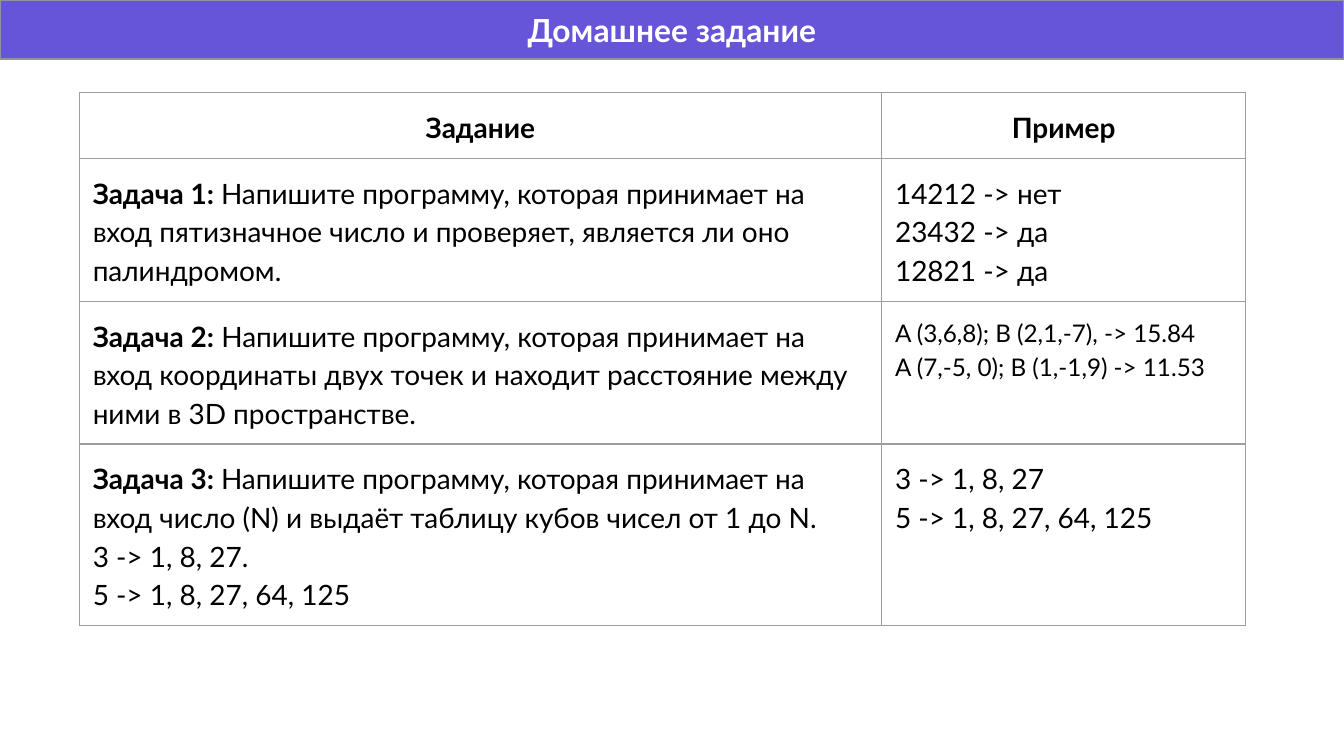
from dataclasses import dataclass

from lxml import etree
from pptx import Presentation
from pptx.dml.color import RGBColor
from pptx.enum.shapes import MSO_SHAPE
from pptx.enum.text import MSO_ANCHOR, PP_ALIGN
from pptx.oxml.ns import qn
from pptx.util import Inches, Pt

RECTANGLE = MSO_SHAPE.RECTANGLE
MIDDLE = MSO_ANCHOR.MIDDLE
TOP = MSO_ANCHOR.TOP
LEFT = PP_ALIGN.LEFT
CENTER = PP_ALIGN.CENTER


@dataclass(frozen=True)
class Theme:
    font: str = "Lato"
    banner: str = "6654D9"
    banner_line: str = "8F93A3"
    banner_text: str = "FFFFFF"
    text: str = "000000"
    grid: str = "9E9E9E"
    title_size: float = 17
    body_size: float = 15
    small_size: float = 13
    line_width: float = 0.75
    line_spacing: float = 1.15
    inset: float = 0.1


class SlideBuilder:
    def __init__(self, slide, theme):
        self.slide = slide
        self.theme = theme

    def add_span(self, para, text, size, color, bold=False):
        """Add a run; a newline in the text becomes a line break."""
        for index, piece in enumerate(text.split("\n")):
            if index:
                para.add_line_break()
            span = para.add_run()
            span.text = piece
            span.font.name = self.theme.font
            span.font.size = Pt(size)
            span.font.bold = bold
            span.font.color.rgb = RGBColor.from_string(color)

    def add_banner(self, text, width, height):
        theme = self.theme
        banner = self.slide.shapes.add_shape(
            RECTANGLE, 0, 0, Inches(width), Inches(height))
        banner.shadow.inherit = False
        banner.fill.solid()
        banner.fill.fore_color.rgb = RGBColor.from_string(theme.banner)
        banner.line.color.rgb = RGBColor.from_string(theme.banner_line)
        banner.line.width = Pt(theme.line_width)
        frame = banner.text_frame
        frame.word_wrap = True
        frame.vertical_anchor = MIDDLE
        frame.margin_left = frame.margin_right = Inches(theme.inset)
        frame.margin_top = frame.margin_bottom = Inches(theme.inset)
        para = frame.paragraphs[0]
        para.alignment = CENTER
        self.add_span(para, text, theme.title_size, theme.banner_text, True)

    def add_table(self, left, top, widths, heights):
        frame = self.slide.shapes.add_table(
            len(heights), len(widths), Inches(left), Inches(top),
            Inches(sum(widths)), Inches(sum(heights)))
        table = frame.table
        table.first_row = table.horz_banding = False
        for column, width in zip(table.columns, widths):
            column.width = Inches(width)
        for row, height in zip(table.rows, heights):
            row.height = Inches(height)
        return table

    def border_cell(self, cell):
        """Outline all four sides; borders must come before the cell's fill."""
        properties = cell._tc.get_or_add_tcPr()
        for side in ("a:lnL", "a:lnR", "a:lnT", "a:lnB"):
            line = etree.SubElement(
                properties, qn(side), w=str(Pt(self.theme.line_width)))
            fill = etree.SubElement(line, qn("a:solidFill"))
            etree.SubElement(fill, qn("a:srgbClr"), val=self.theme.grid)

    def fill_cell(self, cell, lines, size, alignment):
        """Write paragraphs, each a list of (text, bold) pairs."""
        theme = self.theme
        self.border_cell(cell)
        cell.fill.background()
        cell.vertical_anchor = TOP
        cell.margin_left = cell.margin_right = Inches(theme.inset)
        cell.margin_top = cell.margin_bottom = Inches(theme.inset)
        frame = cell.text_frame
        for index, line in enumerate(lines):
            para = frame.add_paragraph() if index else frame.paragraphs[0]
            para.alignment = alignment
            para.line_spacing = theme.line_spacing
            for text, bold in line:
                self.add_span(para, text, size, theme.text, bold)


HEADINGS = ("Задание", "Пример")
# Label, task, further task lines, example paragraphs, example text size
TASKS = (
    ("Задача 1: ",
     "Напишите программу, которая принимает на вход пятизначное число "
     "и проверяет, является ли оно палиндромом.",
     (),
     ("14212 -> нет", "23432 -> да", "12821 -> да"),
     Theme.body_size),
    ("Задача 2:",
     " Напишите программу, которая принимает на вход координаты двух точек "
     "и находит расстояние между ними в 3D пространстве.",
     (),
     ("A (3,6,8); B (2,1,-7), -> 15.84", "A (7,-5, 0); B (1,-1,9) -> 11.53"),
     Theme.small_size),
    ("Задача 3: ",
     "Напишите программу, которая принимает на вход число (N) "
     "и выдаёт таблицу кубов чисел от 1 до N.",
     ("3 -> 1, 8, 27.", "5 -> 1, 8, 27, 64, 125"),
     ("3 -> 1, 8, 27 \n5 -> 1, 8, 27, 64, 125",),
     Theme.body_size),
)


def main():
    deck = Presentation()
    deck.slide_width = Inches(10)
    deck.slide_height = deck.slide_width * 9 // 16
    theme = Theme()
    page = SlideBuilder(deck.slides.add_slide(deck.slide_layouts[6]), theme)

    page.add_banner("Домашнее задание", 10, 0.44)
    # Rows grow to fit their text
    table = page.add_table(0.59, 0.69, (5.97, 2.71), (0.48, 0.48, 1, 1))
    for column, heading in enumerate(HEADINGS):
        page.fill_cell(table.cell(0, column), [[(heading, True)]],
                       theme.body_size, CENTER)
    for row, (label, task, extras, examples, size) in enumerate(TASKS, 1):
        lines = [[(label, True), (task, False)]]
        lines += [[(extra, False)] for extra in extras]
        page.fill_cell(table.cell(row, 0), lines, theme.body_size, LEFT)
        page.fill_cell(table.cell(row, 1),
                       [[(example, False)] for example in examples], size, LEFT)

    deck.save("out.pptx")


if __name__ == "__main__":
    main()
